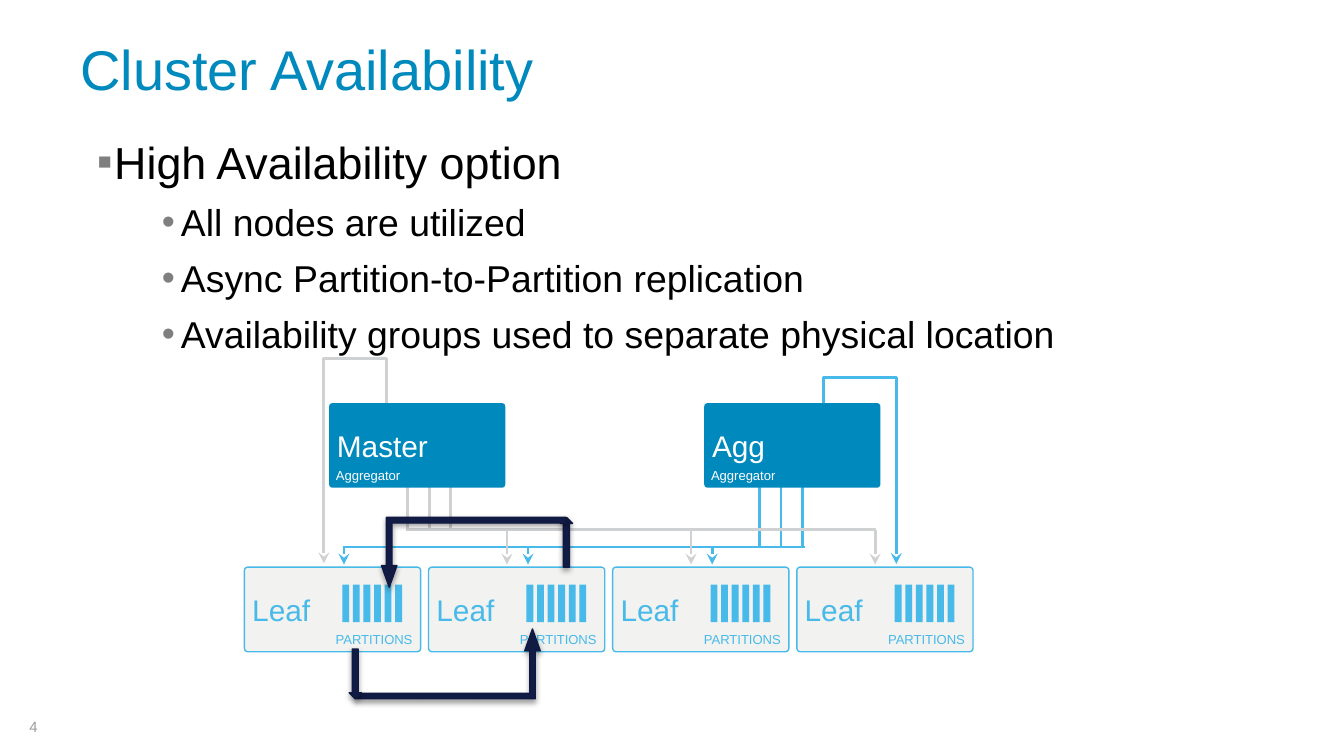
from dataclasses import dataclass

from lxml.etree import SubElement
from pptx import Presentation
from pptx.dml.color import RGBColor
from pptx.enum.shapes import MSO_CONNECTOR as Link, MSO_SHAPE as Kind
from pptx.enum.text import MSO_ANCHOR as Anchor, PP_ALIGN as Align
from pptx.oxml.ns import qn
from pptx.util import Cm, Pt


@dataclass(frozen=True)
class Theme:
    font: str = "Arial"
    blue: str = "0089BC"
    sky: str = "47BAE9"
    silver: str = "D0D1D2"
    panel: str = "F2F2F1"
    navy: str = "121B43"
    navy_edge: str = "0F1942"
    bullet: str = "7F7F7F"
    number: str = "9C9C9C"
    black: str = "000000"
    white: str = "FFFFFF"
    title_size: float = 30
    topic_size: float = 24
    point_size: float = 20
    node_size: float = 16
    number_size: float = 8
    label_size: float = 7


@dataclass(frozen=True)
class Box:
    """A frame in centimetres."""
    left: float
    top: float
    width: float
    height: float

    def lengths(self) -> tuple:
        return Cm(self.left), Cm(self.top), Cm(self.width), Cm(self.height)


@dataclass(frozen=True)
class Bullet:
    text: str
    size: float
    mark: str
    level: int
    margin: float
    hanging: float
    before: float


@dataclass(frozen=True)
class Aggregator:
    name: str
    left: float


@dataclass(frozen=True)
class Wiring:
    """Stems fall from an aggregator to a bus, and drops lead on to the leaves."""
    color: str
    first_stem: float
    stem_end: float
    bus_left: float
    bus_right: float
    bus_y: float
    first_drop: float


@dataclass(frozen=True)
class Loop:
    """An elbow from an aggregator's top to a leaf, given before rotation."""
    color: str
    box: Box
    degrees: int
    flipped: bool
    bend: float


@dataclass(frozen=True)
class Replica:
    """A navy arrow between partitions of two leaves."""
    kind: Kind
    box: Box
    degrees: int
    adjust: tuple


THEME = Theme()
NODE_W, NODE_H = 3.33, 1.6
AGG_TOP, STEM_TOP, STEM_GAP = 7.62, 9.19, 0.41
LEAF_LEFT, LEAF_TOP, LEAF_PITCH, LEAF_COUNT = 4.62, 10.72, 3.48, 4
DROP_END = 10.67
BAR_PITCH, BAR_COUNT = 0.2, 6
TURN, TURN_ADJUST = Kind.BENT_UP_ARROW, (0.08, 0.11, 0.31)
STUB, STUB_ADJUST = Kind.DOWN_ARROW, (0.5, 0.5)

BULLETS = [Bullet("High Availability option", THEME.topic_size, "▪", 0, 0.64, 0.33, 0)] + [
    Bullet(text, THEME.point_size, "•", 1, 1.9, 0.36, 6)
    for text in ("All nodes are utilized",
                 "Async Partition-to-Partition replication",
                 "Availability groups used to separate physical location")
]
LOOPS = [
    Loop(THEME.sky, Box(15.49, 9.21, 1.53, 1.37), 270, True, -1.3),
    Loop(THEME.silver, Box(5.95, 9.29, 1.53, 1.19), 90, False, -1.53),
]
WIRINGS = [
    Wiring(THEME.sky, 14.35, 10.34, 6.48, 15.21, 10.34, 6.5),
    Wiring(THEME.silver, 7.7, 10.03, 7.67, 16.56, 10.01, 9.58),
]
AGGREGATORS = [Aggregator("Agg", 13.31), Aggregator("Master", 6.22)]
REPLICAS = [
    Replica(TURN, Box(6.73, 11.89, 3.48, 1.32), 0, TURN_ADJUST),
    Replica(STUB, Box(6.6, 12.27, 0.23, 0.94), 0, STUB_ADJUST),
    Replica(STUB, Box(10.59, 9.78, 0.23, 0.94), 180, STUB_ADJUST),
    Replica(TURN, Box(7.21, 9.78, 3.48, 1.32), 180, TURN_ADJUST),
]


def rgb(color: str) -> RGBColor:
    return RGBColor.from_string(color)


def add_span(para, text: str, size: float, color: str) -> None:
    span = para.add_run()
    span.text = text
    span.font.name, span.font.size = THEME.font, Pt(size)
    span.font.color.rgb = rgb(color)


def set_frame(shape, insets: tuple, anchor: Anchor = Anchor.MIDDLE):
    """Set insets (left, top, right, bottom) in cm and return the text frame."""
    frame = shape.text_frame
    frame.word_wrap, frame.vertical_anchor = True, anchor
    (frame.margin_left, frame.margin_top,
     frame.margin_right, frame.margin_bottom) = map(Cm, insets)
    return frame


def add_text(page, box: Box, text: str, size: float, color: str,
             insets: tuple = (0, 0, 0, 0), align: Align = Align.LEFT) -> None:
    frame = set_frame(page.shapes.add_textbox(*box.lengths()), insets)
    frame.paragraphs[0].alignment = align
    add_span(frame.paragraphs[0], text, size, color)


def add_bullets(page, box: Box, bullets: list[Bullet]) -> None:
    shape = page.shapes.add_textbox(*box.lengths())
    frame = set_frame(shape, (0.25,) * 4, Anchor.TOP)
    for index, bullet in enumerate(bullets):
        para = frame.add_paragraph() if index else frame.paragraphs[0]
        para.level, para.space_before = bullet.level, Pt(bullet.before)
        props = para._p.get_or_add_pPr()
        props.set("marL", str(Cm(bullet.margin)))
        props.set("indent", str(-Cm(bullet.hanging)))
        SubElement(SubElement(props, qn("a:buClr")), qn("a:srgbClr"), val=THEME.bullet)
        SubElement(props, qn("a:buFont"), typeface=THEME.font)
        SubElement(props, qn("a:buChar"), char=bullet.mark)
        add_span(para, bullet.text, bullet.size, THEME.black)


def add_shape(page, kind: Kind, box: Box, fill: str, edge: str | None = None):
    shape = page.shapes.add_shape(kind, *box.lengths())
    shape.shadow.inherit = False
    shape.fill.solid()
    shape.fill.fore_color.rgb = rgb(fill)
    if edge:
        shape.line.color.rgb, shape.line.width = rgb(edge), Pt(0.75)
    else:
        shape.line.fill.background()
    return shape


def add_node(page, left: float, top: float, name: str, fill: str,
             ink: str, edge: str | None = None) -> None:
    node = add_shape(page, Kind.ROUNDED_RECTANGLE, Box(left, top, NODE_W, NODE_H), fill, edge)
    node.adjustments[0] = 0.04
    para = set_frame(node, (0.13, 0.13, 0.25, 0.13)).paragraphs[0]
    para.alignment = Align.LEFT
    add_span(para, name, THEME.node_size, ink)


def add_wire(page, color: str, start: tuple, end: tuple,
             arrow: bool = False, link: Link = Link.STRAIGHT):
    wire = page.shapes.add_connector(link, *map(Cm, start + end))
    wire.line.color.rgb, wire.line.width = rgb(color), Pt(1.5)
    if arrow:
        SubElement(wire.line._get_or_add_ln(), qn("a:tailEnd"), type="stealth")
    SubElement(wire._element.spPr, qn("a:effectLst"))
    return wire


def add_loop(page, loop: Loop) -> None:
    box = loop.box
    left, right = box.left, box.left + box.width
    start, end = (right, left) if loop.flipped else (left, right)
    wire = add_wire(page, loop.color, (start, box.top), (end, box.top + box.height),
                    True, Link.ELBOW)
    props = wire._element.spPr
    props.find(qn("a:xfrm")).set("rot", str(loop.degrees * 60000))
    guides = props.find(qn("a:prstGeom")).find(qn("a:avLst"))
    SubElement(guides, qn("a:gd"), name="adj1", fmla=f"val {round(loop.bend * 100000)}")


def add_wiring(page, wiring: Wiring) -> None:
    for index in range(3):
        stem = wiring.first_stem + index * STEM_GAP
        drop = wiring.first_drop + index * LEAF_PITCH
        add_wire(page, wiring.color, (stem, STEM_TOP), (stem, wiring.stem_end))
        add_wire(page, wiring.color, (drop, wiring.bus_y), (drop, DROP_END), True)
    add_wire(page, wiring.color, (wiring.bus_left, wiring.bus_y),
             (wiring.bus_right, wiring.bus_y))


def add_leaf(page, left: float) -> None:
    add_node(page, left, LEAF_TOP, "Leaf", THEME.panel, THEME.sky, THEME.sky)
    add_text(page, Box(left + 1.55, 11.84, 1.8, 0.48), "PARTITIONS",
             THEME.label_size, THEME.sky, align=Align.CENTER)
    for index in range(BAR_COUNT):
        bar = Box(left + 1.85 + index * BAR_PITCH, 11.05, 0.13, 0.71)
        add_shape(page, Kind.RECTANGLE, bar, THEME.sky)


def add_aggregator(page, aggregator: Aggregator) -> None:
    add_node(page, aggregator.left, AGG_TOP, aggregator.name, THEME.blue, THEME.white)
    add_text(page, Box(aggregator.left, 8.74, 1.55, 0.48), "Aggregator",
             THEME.label_size, THEME.white, (0.13, 0, 0, 0))


def add_replica(page, replica: Replica) -> None:
    arrow = add_shape(page, replica.kind, replica.box, THEME.navy, THEME.navy_edge)
    arrow.rotation = replica.degrees
    for index, value in enumerate(replica.adjust):
        arrow.adjustments[index] = value
    shadow = SubElement(arrow._element.spPr.find(qn("a:effectLst")), qn("a:outerShdw"),
                        blurRad=str(Pt(3.1)), dist=str(Pt(1.6)), dir="5400000", rotWithShape="0")
    tint = SubElement(shadow, qn("a:srgbClr"), val=THEME.black)
    SubElement(tint, qn("a:alpha"), val="38000")


def main() -> None:
    deck = Presentation()
    deck.slide_width, deck.slide_height = Cm(25.4), Cm(14.29)
    page = deck.slides.add_slide(deck.slide_layouts[6])
    add_text(page, Box(0, 13.18, 1.27, 1.11), "4", THEME.number_size, THEME.number,
             (0.25, 0.13, 0.25, 0.13), Align.CENTER)
    add_text(page, Box(1.27, 0.33, 22.86, 1.93), "Cluster Availability",
             THEME.title_size, THEME.blue, (0.25,) * 4)
    add_bullets(page, Box(1.27, 2.29, 22.86, 4.6), BULLETS)
    for loop in LOOPS:
        add_loop(page, loop)
    for wiring in WIRINGS:
        add_wiring(page, wiring)
    for index in range(LEAF_COUNT):
        add_leaf(page, LEAF_LEFT + index * LEAF_PITCH)
    for aggregator in AGGREGATORS:
        add_aggregator(page, aggregator)
    for replica in REPLICAS:
        add_replica(page, replica)
    deck.save("out.pptx")


if __name__ == "__main__":
    main()
